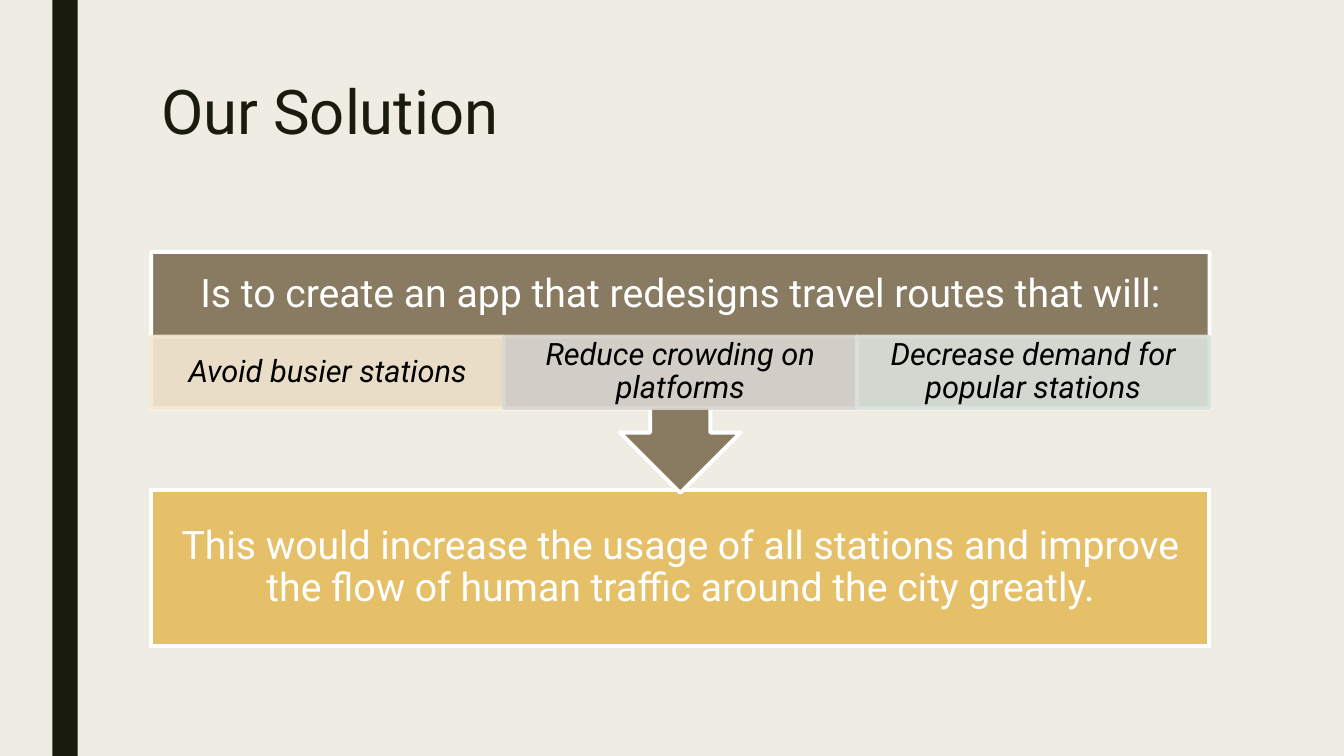
from lxml.etree import SubElement
from pptx import Presentation
from pptx.dml.color import RGBColor
from pptx.enum.shapes import MSO_SHAPE
from pptx.enum.text import MSO_ANCHOR, PP_ALIGN
from pptx.oxml.ns import qn
from pptx.util import Cm, Pt

CREAM = RGBColor(0xEF, 0xED, 0xE3)
DARK = RGBColor(0x19, 0x1B, 0x0E)
BROWN = RGBColor(0x89, 0x7B, 0x61)
GOLD = RGBColor(0xE6, 0xC0, 0x69)
WHITE = RGBColor(0xFF, 0xFF, 0xFF)
BLACK = RGBColor(0x00, 0x00, 0x00)
SAND = RGBColor(0xF5, 0xE8, 0xD4)
GREY = RGBColor(0xDA, 0xD7, 0xD2)
SAGE = RGBColor(0xDB, 0xE2, 0xDB)

LEFT, WIDTH = 3.81, 26.67
GOALS_TOP, GOAL_HEIGHT = 8.48, 1.8
GOALS = [
    ("Avoid busier stations", SAND),
    ("Reduce crowding on platforms", GREY),
    ("Decrease demand for popular stations", SAGE),
]


def write_text(shape, text, size=28, color=WHITE, italic=False, align=PP_ALIGN.CENTER,
               anchor=MSO_ANCHOR.MIDDLE, insets=(0.56, 0.56, 0.56, 0.56), font="Roboto"):
    """Insets are left, top, right and bottom in centimetres."""
    frame = shape.text_frame
    frame.word_wrap = True
    frame.vertical_anchor = anchor
    (frame.margin_left, frame.margin_top,
     frame.margin_right, frame.margin_bottom) = map(Cm, insets)
    paragraph = frame.paragraphs[0]
    paragraph.alignment = align
    paragraph.line_spacing = 0.9
    run = paragraph.add_run()
    run.text = text
    run.font.name = font
    run.font.size = Pt(size)
    run.font.italic = italic
    run.font.color.rgb = color


class SlideBuilder:
    def __init__(self, slide, line_width=2.75):
        self.slide = slide
        self.line_width = Pt(line_width)

    def background(self, color):
        fill = self.slide.background.fill
        fill.solid()
        fill.fore_color.rgb = color

    def text_box(self, box, text, **text_format):
        shape = self.slide.shapes.add_textbox(*map(Cm, box))
        write_text(shape, text, **text_format)

    def block(self, box, fill, line=None, kind=MSO_SHAPE.RECTANGLE, opacity=None):
        shape = self.slide.shapes.add_shape(kind, *map(Cm, box))
        shape.shadow.inherit = False
        shape.fill.solid()
        shape.fill.fore_color.rgb = fill
        if line is None:
            shape.line.fill.background()
        else:
            shape.line.color.rgb = line
            shape.line.width = self.line_width
        if opacity is not None:
            for color in shape.element.spPr.iter(qn("a:srgbClr")):
                SubElement(color, qn("a:alpha"), val=str(opacity * 1000))
        return shape


def main():
    presentation = Presentation()
    presentation.slide_width = Cm(33.87)
    presentation.slide_height = Cm(19.05)
    builder = SlideBuilder(presentation.slides.add_slide(presentation.slide_layouts[6]))

    # Background, side bar and title
    builder.background(CREAM)
    builder.block((1.32, 0, 0.64, 19.05), DARK)
    builder.text_box((LEFT, 1.91, WIDTH, 4.11), "Our Solution", size=44, color=DARK,
                     align=PP_ALIGN.LEFT, anchor=MSO_ANCHOR.TOP,
                     insets=(0.25, 0.13, 0.25, 0.13))

    # Outcome
    outcome = builder.block((LEFT, 12.34, WIDTH, 3.94), GOLD, WHITE)
    write_text(outcome, "This would increase the usage of all stations and improve "
                        "the flow of human traffic around the city greatly.")

    # Solution with its arrow; the text stays above the goals
    solution = builder.block((LEFT, 6.35, WIDTH, 6.07), BROWN, WHITE,
                             kind=MSO_SHAPE.DOWN_ARROW_CALLOUT)
    write_text(solution, "Is to create an app that redesigns travel routes that will:",
               insets=(0.56, 0.56, 0.56, 0.56 + GOAL_HEIGHT))

    # Goals
    goal_width = WIDTH / len(GOALS)
    for index, (text, color) in enumerate(GOALS):
        goal = builder.block((LEFT + index * goal_width, GOALS_TOP, goal_width, GOAL_HEIGHT),
                             color, color, opacity=90)
        write_text(goal, text, size=22, color=BLACK, italic=True,
                   insets=(0.43, 0.08, 0.43, 0.08))

    presentation.save("out.pptx")


if __name__ == "__main__":
    main()
